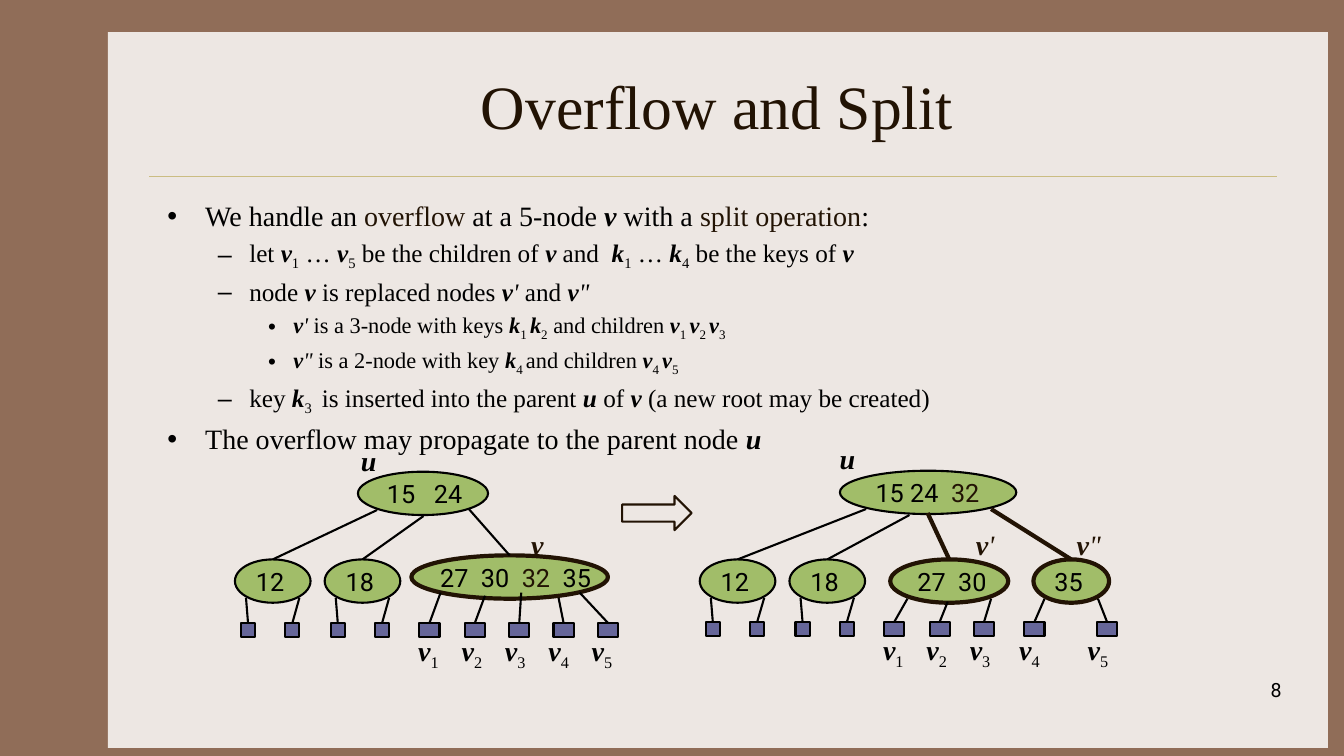
from lxml import etree
from pptx import Presentation
from pptx.dml.color import RGBColor
from pptx.enum.shapes import MSO_CONNECTOR, MSO_SHAPE
from pptx.enum.text import MSO_ANCHOR, MSO_AUTO_SIZE, PP_ALIGN
from pptx.oxml.ns import qn
from pptx.util import Inches, Pt

STRAIGHT = MSO_CONNECTOR.STRAIGHT
ELLIPSE, RECTANGLE, RIGHT_ARROW = MSO_SHAPE.OVAL, MSO_SHAPE.RECTANGLE, MSO_SHAPE.RIGHT_ARROW
MIDDLE, NO_FIT = MSO_ANCHOR.MIDDLE, MSO_AUTO_SIZE.NONE
LEFT, CENTER, RIGHT = PP_ALIGN.LEFT, PP_ALIGN.CENTER, PP_ALIGN.RIGHT
SERIF, SANS = "Times New Roman", "Roboto"
COLORS = {
    "background": "906D58", "panel": "EDE7E3", "divider": "CBBD83",
    "text": "000000", "accent": "221304", "node": "A1BD69", "leaf": "666699",
}

# Level, size and text. Runs are parted by "|"; a leading mark sets the style:
# * bold italic, / italic, _ subscript, ^ accent colour.
BULLETS = [
    (0, 20, "We handle an |^overflow| at a 5-node |*v| with a |^split operation|:"),
    (1, 18, "let |*v|_1| … |*v|_5| be the children of |*v| and  |*k|_1| … |*k|_4"
            "| be the keys of |*v"),
    (1, 18, "node |*v| is replaced nodes |*v|/' |and |*v|/\""),
    (2, 16, "*v|/'| is a 3-node with keys |*k|_1 |*k|_2| and children |*v|_1 |*v|_2 |*v|_3"),
    (2, 16, "*v|/\"| is a 2-node with key |*k|_4 |and children |*v|_4 |*v|_5"),
    (1, 18, "key |*k|_3 | is inserted into the parent |*u| of |*v |(a new root may be created)"),
    (0, 20, "The overflow may propagate to the parent node |*u"),
]

# Nodes: left, top, width, keys, outline colour.
# Branches: start on the root, index of the child, colour.
# Leaves: centre, width, start of the edge on the node above.
SMALL, WIDE = 0.14, 0.2
BEFORE = {
    "nodes": [
        (3.55, 4.68, 1.29, "15   24", "text"),
        (2.33, 5.55, 0.75, "12", "text"),
        (3.22, 5.55, 0.75, "18", "text"),
        (4.08, 5.51, 1.95, "27  30  |^32|  35", "accent"),
    ],
    "branches": [(3.74, 5.06, 1, "text"), (4.2, 5.12, 2, "text"), (4.65, 5.05, 3, "text")],
    "leaf_top": 6.18,
    "leaves": [
        (2.46, SMALL, 2.44, 5.93), (2.9, SMALL, 2.97, 5.93),
        (3.35, SMALL, 3.33, 5.93), (3.79, SMALL, 3.86, 5.93),
        (4.26, WIDE, 4.37, 5.88), (4.71, WIDE, 4.81, 5.91), (5.15, WIDE, 5.17, 5.88),
        (5.59, WIDE, 5.54, 5.93), (6.03, WIDE, 5.75, 5.88),
    ],
    "child_labels": [4.05, 4.48, 4.91, 5.34, 5.77],
    "node_labels": [(3.48, 4.35, 0.36, "*u", "text"), (5.17, 5.18, 0.32, "*v", "accent")],
}
AFTER = {
    "nodes": [
        (8.33, 4.67, 1.75, "15 24  |^32", "text"),
        (6.94, 5.55, 0.75, "12", "text"),
        (7.83, 5.55, 0.75, "18", "text"),
        (8.83, 5.55, 1.17, "27  30", "accent"),
        (10.25, 5.55, 0.75, "35", "accent"),
    ],
    "branches": [(8.59, 5.05, 1, "text"), (9.02, 5.11, 2, "text"),
                 (9.2, 5.09, 3, "accent"), (9.83, 5.05, 4, "accent")],
    "leaf_top": 6.17,
    "leaves": [
        (7.07, SMALL, 7.05, 5.93), (7.51, SMALL, 7.58, 5.93),
        (7.96, SMALL, 7.94, 5.93), (8.4, SMALL, 8.47, 5.93),
        (8.87, WIDE, 9, 5.94), (9.32, WIDE, 9.4, 5.97), (9.76, WIDE, 9.83, 5.94),
        (10.26, WIDE, 10.36, 5.94), (10.98, WIDE, 10.89, 5.94),
    ],
    "child_labels": [8.66, 9.09, 9.52, 10.01, 10.69],
    "node_labels": [(8.23, 4.33, 0.36, "*u", "text"), (9.58, 5.18, 0.38, "*v|/'", "accent"),
                    (10.58, 5.18, 0.53, "*v|/\"", "accent")],
}


def rgb(color):
    return RGBColor.from_string(COLORS[color])


def box(left, top, width, height):
    return Inches(left), Inches(top), Inches(width), Inches(height)


def place(shape, *bounds):
    shape.left, shape.top, shape.width, shape.height = box(*bounds)


def write(paragraph, marked, size, font=SERIF, color="text", align=None):
    """Add the runs of a marked-up text to a paragraph."""
    paragraph.alignment = align
    for part in marked.split("|"):
        mark = part[0] if part[0] in "*/_^" else ""
        run = paragraph.add_run()
        run.text = part[len(mark):]
        run.font.name, run.font.size = font, Pt(size)
        run.font.bold = mark == "*"
        run.font.italic = mark in ("*", "/")
        run.font.color.rgb = rgb("accent" if mark == "^" else color)
        if mark == "_":
            run.font._element.set("baseline", "-25000")


def add_block(slide, kind, bounds, fill=None, line=None, weight=1.5):
    block = slide.shapes.add_shape(kind, *box(*bounds))
    block.shadow.inherit = False
    if fill:
        block.fill.solid()
        block.fill.fore_color.rgb = rgb(fill)
    else:
        block.fill.background()
    if line:
        block.line.color.rgb = rgb(line)
        block.line.width = Pt(weight)
    else:
        block.line.fill.background()
    return block


def add_line(slide, start, end, color="text", weight=1.5):
    line = slide.shapes.add_connector(STRAIGHT, *box(*start, *end))
    line.line.color.rgb = rgb(color)
    line.line.width = Pt(weight)
    etree.SubElement(line._element.spPr, qn("a:effectLst"))
    return line


def add_edge(slide, start, child, color="text", weight=1.5):
    """Draw an edge that is joined to the top of a child."""
    add_line(slide, start, start, color, weight).end_connect(child, 0)


def add_label(slide, bounds, marked, size=20, font=SERIF, color="text", align=LEFT, wrap=True):
    frame = slide.shapes.add_textbox(*box(*bounds)).text_frame
    frame.word_wrap = wrap
    write(frame.paragraphs[0], marked, size, font, color, align)


def outline_weight(color):
    return 3 if color == "accent" else 1.5


def add_node(slide, left, top, width, keys, outline):
    node = add_block(slide, ELLIPSE, (left, top, width, 0.43), "node",
                     outline, outline_weight(outline))
    frame = node.text_frame
    frame.word_wrap = False
    frame.vertical_anchor = MIDDLE
    if "35" in keys and "27" in keys:
        frame.margin_left = frame.margin_right = 0
    write(frame.paragraphs[0], keys, 18, SANS, align=LEFT)
    return node


def add_tree(slide, tree):
    nodes = [add_node(slide, *node) for node in tree["nodes"]]
    for x, y, child, color in tree["branches"]:
        add_edge(slide, (x, y), nodes[child], color, outline_weight(color))
    top = tree["leaf_top"]
    for center, width, x, y in tree["leaves"]:
        leaf = add_block(slide, RECTANGLE, (center - width / 2, top, width, 0.14), "leaf", "text")
        add_edge(slide, (x, y), leaf)
    for number, left in enumerate(tree["child_labels"], 1):
        add_label(slide, (left, top + 0.06, 0.56, 0.43), f"*v|_{number}")
    for left, label_top, width, marked, color in tree["node_labels"]:
        add_label(slide, (left, label_top, width, 0.43), marked, color=color, wrap=False)


def add_backdrop(slide):
    """Colour the background and put the panel and divider behind the text."""
    slide.background.fill.solid()
    slide.background.fill.fore_color.rgb = rgb("background")
    panel = add_block(slide, RECTANGLE, (1.07, 0.32, 12.1, 7.1), "panel")
    divider = add_line(slide, (1.48, 1.75), (12.67, 1.75), "divider", 0.25)
    for layer in (divider, panel):
        slide.shapes._spTree.insert(2, layer._element)


def fill_title(title):
    place(title, 1.56, 0.42, 11.11, 1.25)
    title.text_frame.vertical_anchor = MIDDLE
    title.text_frame.auto_size = NO_FIT
    write(title.text_frame.paragraphs[0], "Overflow and Split", 44, color="accent", align=CENTER)


def fill_bullets(body):
    place(body, 1.56, 1.92, 11.11, 4.5)
    frame = body.text_frame
    frame.auto_size = NO_FIT
    for index, (level, size, marked) in enumerate(BULLETS):
        paragraph = frame.add_paragraph() if index else frame.paragraphs[0]
        paragraph.level = level
        paragraph.space_before = Pt(size * 0.2) if index else Pt(0)
        write(paragraph, marked, size)


def main():
    deck = Presentation()
    deck.slide_width, deck.slide_height = Inches(13.33), Inches(7.5)
    slide = deck.slides.add_slide(deck.slide_layouts[1])
    add_backdrop(slide)
    fill_title(slide.shapes.title)
    fill_bullets(slide.placeholders[1])
    add_tree(slide, BEFORE)
    add_tree(slide, AFTER)
    add_block(slide, RIGHT_ARROW, (6.17, 4.92, 0.69, 0.34), line="accent")
    add_label(slide, (10.03, 6.68, 2.78, 0.5), "8", 14, SANS, align=RIGHT)
    deck.save("out.pptx")


if __name__ == "__main__":
    main()
